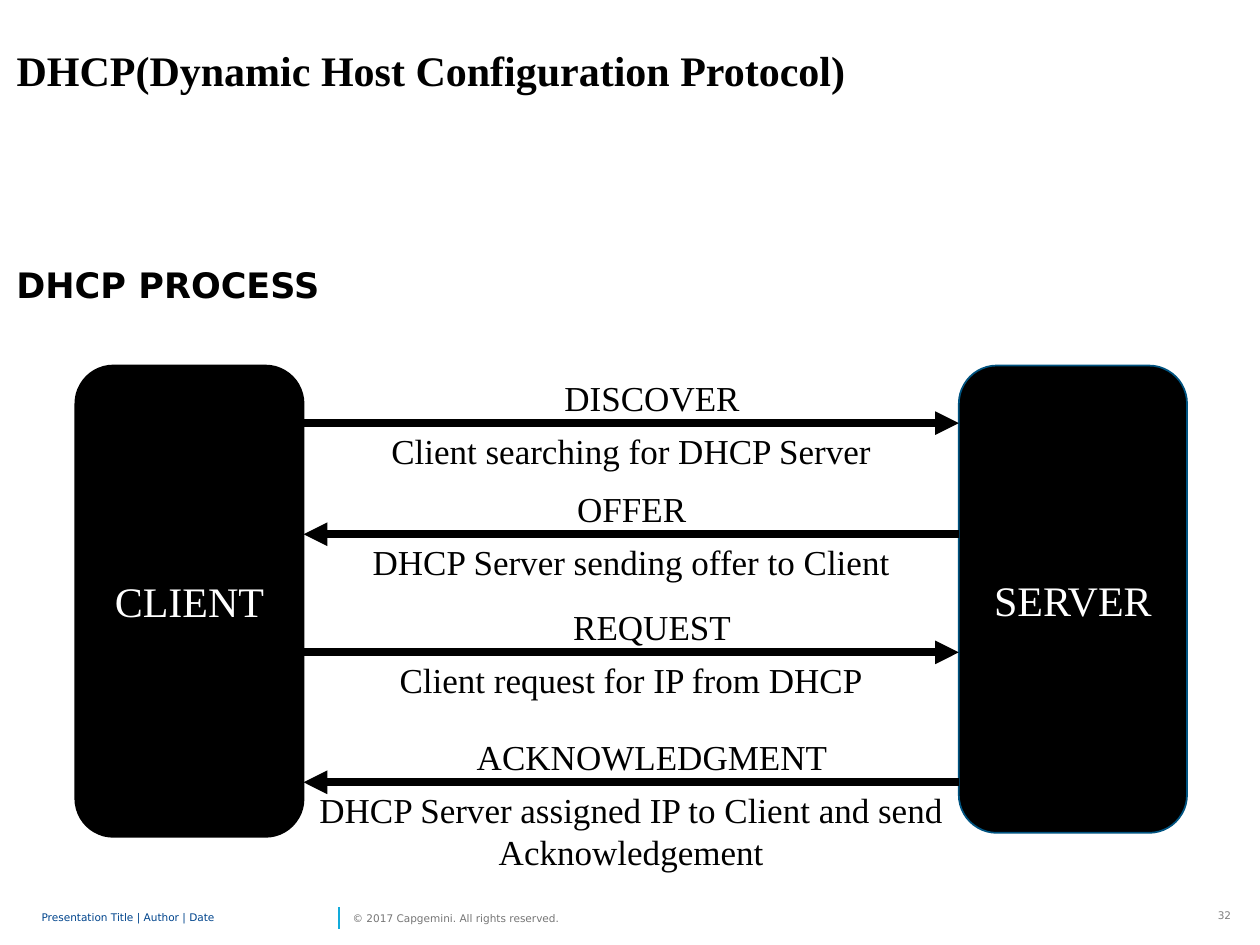
"""Build the slide that shows the four messages of the DHCP process."""
from lxml.etree import SubElement
from pptx import Presentation
from pptx.dml.color import RGBColor
from pptx.enum.shapes import MSO_CONNECTOR as Connector, MSO_SHAPE as Shape
from pptx.enum.text import MSO_ANCHOR as Anchor, MSO_AUTO_SIZE as AutoSize, PP_ALIGN as Align
from pptx.oxml.ns import qn
from pptx.util import Cm, Pt

BLACK = RGBColor(0x00, 0x00, 0x00)
WHITE = RGBColor(0xFF, 0xFF, 0xFF)
SERVER_EDGE = RGBColor(0x00, 0x53, 0x80)
FOOTER_BLUE = RGBColor(0x00, 0x45, 0x8D)
FOOTER_GREY = RGBColor(0x76, 0x76, 0x76)
NUMBER_GREY = RGBColor(0x80, 0x80, 0x80)
CYAN = RGBColor(0x12, 0xAB, 0xDB)
SERIF = "Times New Roman"
SANS = "DejaVu Sans"

CLIENT_RIGHT, SERVER_LEFT = 6.12, 19.33
NODE_TOP, NODE_WIDTH = 7.37, 4.6
LABEL_WIDTH, LABEL_HEIGHT, LABEL_RISE = 7.59, 1.12, 1.06
MESSAGES = [
    ("DISCOVER", "Client searching for DHCP Server", 8.53, 9.35, 1.12),
    ("OFFER", "DHCP Server sending offer to Client", 10.77, 8.94, 1.12),
    ("REQUEST", "Client request for IP from DHCP", 13.15, 9.35, 1.12),
    ("ACKNOWLEDGMENT", "DHCP Server assigned IP to Client and send Acknowledgement",
     15.77, 9.35, 1.96),
]


def write(frame, text, size=20, font=SERIF, color=BLACK, bold=False,
          align=Align.LEFT, anchor=Anchor.TOP, spacing=None, inset=None):
    frame.word_wrap = True
    frame.auto_size = AutoSize.NONE
    frame.vertical_anchor = anchor
    if inset is not None:
        frame.margin_left = frame.margin_right = Cm(inset)
        frame.margin_top = frame.margin_bottom = Cm(inset)
    para = frame.paragraphs[0]
    para.alignment = align
    if spacing:
        para.line_spacing = spacing
    span = para.add_run()
    span.text = text
    span.font.size = Pt(size)
    span.font.name = font
    span.font.bold = bold
    span.font.color.rgb = color


class Sketch:
    def __init__(self, page, ink=BLACK):
        self.page = page
        self.ink = ink

    def title(self, text, left, top, width, height, **style):
        box = self.page.shapes.title
        box.left, box.top, box.width, box.height = map(Cm, (left, top, width, height))
        write(box.text_frame, text, **style)

    def text(self, text, left, top, width, height, **style):
        box = self.page.shapes.add_textbox(*map(Cm, (left, top, width, height)))
        write(box.text_frame, text, **style)

    def node(self, text, left, height, edge):
        box = self.page.shapes.add_shape(
            Shape.ROUNDED_RECTANGLE, *map(Cm, (left, NODE_TOP, NODE_WIDTH, height)))
        box.shadow.inherit = False
        box.fill.solid()
        box.fill.fore_color.rgb = self.ink
        box.line.color.rgb = edge
        box.line.width = Pt(1)
        write(box.text_frame, text, size=24, color=WHITE, align=Align.CENTER,
              anchor=Anchor.MIDDLE)

    def line(self, start, end, color, width, arrow=False):
        line = self.page.shapes.add_connector(Connector.STRAIGHT, *map(Cm, start + end))
        line.line.color.rgb = color
        line.line.width = Pt(width)
        if arrow:
            SubElement(line.line._get_or_add_ln(), qn("a:tailEnd"), type="triangle")
        SubElement(line._element.spPr, qn("a:effectLst"))

    def message(self, label, detail, y, label_left, detail_height, reply):
        ends = [(CLIENT_RIGHT, y), (SERVER_LEFT, y)]
        start, end = reversed(ends) if reply else ends
        self.line(start, end, self.ink, 4.5, arrow=True)
        self.text(label, label_left, y - LABEL_RISE, LABEL_WIDTH, LABEL_HEIGHT,
                  align=Align.CENTER)
        self.text(detail, CLIENT_RIGHT, y, SERVER_LEFT - CLIENT_RIGHT, detail_height,
                  align=Align.CENTER)

    def footer(self):
        small = {"size": 6, "font": SANS}
        flush = {**small, "anchor": Anchor.MIDDLE, "inset": 0}
        self.text("32", 24.18, 18.21, 0.89, 0.51, color=NUMBER_GREY, align=Align.RIGHT, **small)
        self.line((6.83, 18.72), (6.83, 18.29), CYAN, 1)
        self.text("Presentation Title | Author | Date", 0.84, 18.21, 5.89, 0.61,
                  color=FOOTER_BLUE, spacing=0.85, **flush)
        self.text("© 2017 Capgemini. All rights reserved.", 7.11, 18.21, 4.62, 0.61,
                  color=FOOTER_GREY, **flush)


def main():
    deck = Presentation()
    deck.slide_width, deck.slide_height = Cm(25.4), Cm(19.05)
    sketch = Sketch(deck.slides.add_slide(deck.slide_layouts[5]))
    sketch.footer()
    sketch.title("DHCP(Dynamic Host Configuration Protocol)", 0.08, 0.8, 23.19, 1.2,
                 size=24, bold=True, anchor=Anchor.MIDDLE)
    sketch.text("DHCP PROCESS", 0.08, 5.17, 23.19, 1.12, font=SANS, bold=True,
                anchor=Anchor.MIDDLE)
    sketch.node("CLIENT", CLIENT_RIGHT - NODE_WIDTH, 9.5, BLACK)
    sketch.node("SERVER", SERVER_LEFT, 9.42, SERVER_EDGE)
    for index, message in enumerate(MESSAGES):
        sketch.message(*message, reply=index % 2 == 1)
    deck.save("out.pptx")


if __name__ == "__main__":
    main()
